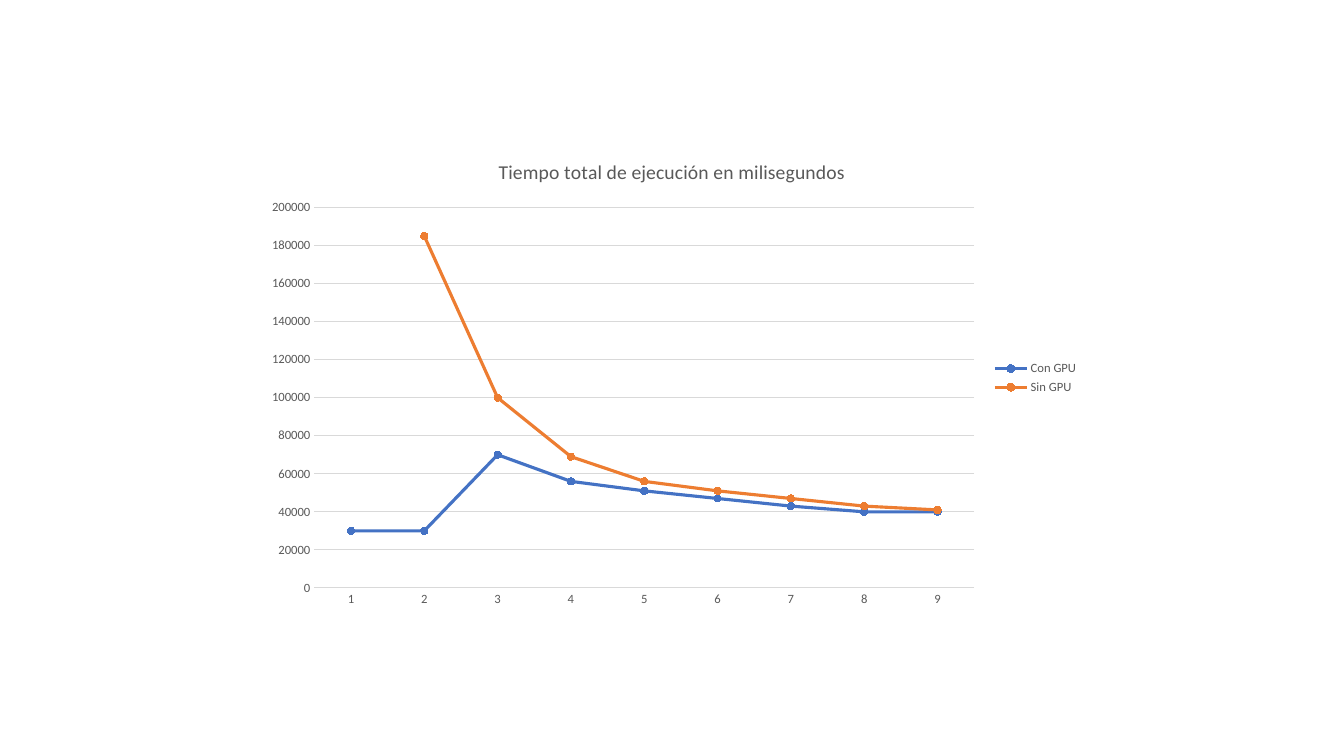
from dataclasses import dataclass

from pptx import Presentation
from pptx.chart.data import CategoryChartData
from pptx.dml.color import RGBColor
from pptx.enum.chart import (XL_CHART_TYPE, XL_LEGEND_POSITION,
                             XL_MARKER_STYLE, XL_TICK_MARK)
from pptx.util import Inches, Pt

LINES = XL_CHART_TYPE.LINE_MARKERS
RIGHT = XL_LEGEND_POSITION.RIGHT
DOT = XL_MARKER_STYLE.CIRCLE
NO_TICK = XL_TICK_MARK.NONE


@dataclass(frozen=True)
class Theme:
    face: str = "Calibri"
    ink: str = "595959"
    rule: str = "D9D9D9"
    hues: tuple = ("4472C4", "ED7D31")
    head: int = 14
    small: int = 9
    thin: float = 0.75
    thick: float = 2.25
    dot: int = 5


class Page:
    """Holds the theme and the slide; places parts in percent of its size."""

    def __init__(self, deck, theme):
        self.theme = theme
        self.wide, self.high = deck.slide_width, deck.slide_height
        self.slide = deck.slides.add_slide(deck.slide_layouts[6])

    def box(self, left, top, width, height):
        sides = (self.wide, self.high) * 2
        return [int(side * part / 100)
                for side, part in zip(sides, (left, top, width, height))]

    def font(self, font, size):
        look = {"name": self.theme.face, "size": Pt(size), "bold": False}
        for key, value in look.items():
            setattr(font, key, value)
        font.color.rgb = RGBColor.from_string(self.theme.ink)

    def line(self, line, hue, width):
        line.color.rgb = RGBColor.from_string(hue)
        line.width = Pt(width)

    def axis(self, axis, form):
        for key, value in form.items():
            setattr(axis, key, value)
        self.font(axis.tick_labels.font, self.theme.small)

    def series(self, series, hue):
        theme = self.theme
        series.smooth = False
        self.line(series.format.line, hue, theme.thick)
        mark = series.marker
        for key, value in {"style": DOT, "size": theme.dot}.items():
            setattr(mark, key, value)
        mark.format.fill.solid()
        mark.format.fill.fore_color.rgb = RGBColor.from_string(hue)
        self.line(mark.format.line, hue, theme.thin)

    def chart(self, title, cats, rows, place):
        theme = self.theme
        data = CategoryChartData()
        data.categories = cats
        for name, vals in rows.items():
            data.add_series(name, vals)
        chart = self.slide.shapes.add_chart(LINES, *self.box(*place), data).chart
        self.font(chart.font, theme.small)

        # Title
        chart.has_title = True
        chart.chart_title.include_in_layout = False
        frame = chart.chart_title.text_frame
        frame.text = title
        self.font(frame.paragraphs[0].runs[0].font, theme.head)

        # Legend
        chart.has_legend = True
        for key, value in {"position": RIGHT, "include_in_layout": False}.items():
            setattr(chart.legend, key, value)
        self.font(chart.legend.font, theme.small)

        # Axes
        form = {"major_tick_mark": NO_TICK, "minor_tick_mark": NO_TICK}
        self.axis(chart.category_axis, form)
        self.line(chart.category_axis.format.line, theme.rule, theme.thin)
        scale = {"minimum_scale": 0, "maximum_scale": 200000,
                 "major_unit": 20000, "has_major_gridlines": True}
        self.axis(chart.value_axis, form | scale)
        chart.value_axis.format.line.fill.background()
        grid = chart.value_axis.major_gridlines.format.line
        self.line(grid, theme.rule, theme.thin)

        # Series
        chart.plots[0].vary_by_categories = False
        for series, hue in zip(chart.plots[0].series, theme.hues):
            self.series(series, hue)


def main():
    deck = Presentation()
    deck.slide_width, deck.slide_height = Inches(13.33), Inches(7.5)
    page = Page(deck, Theme())
    times = {
        "Con GPU": (30000, 30000, 70000, 56000, 51000,
                    47000, 43000, 40000, 40000),
        "Sin GPU": (None, 185000, 100000, 69000, 56000,
                    51000, 47000, 43000, 41000),
    }
    page.chart("Tiempo total de ejecución en milisegundos",
               [str(n) for n in range(1, 10)], times, (19, 18.5, 62, 63))
    deck.save("out.pptx")


if __name__ == "__main__":
    main()
